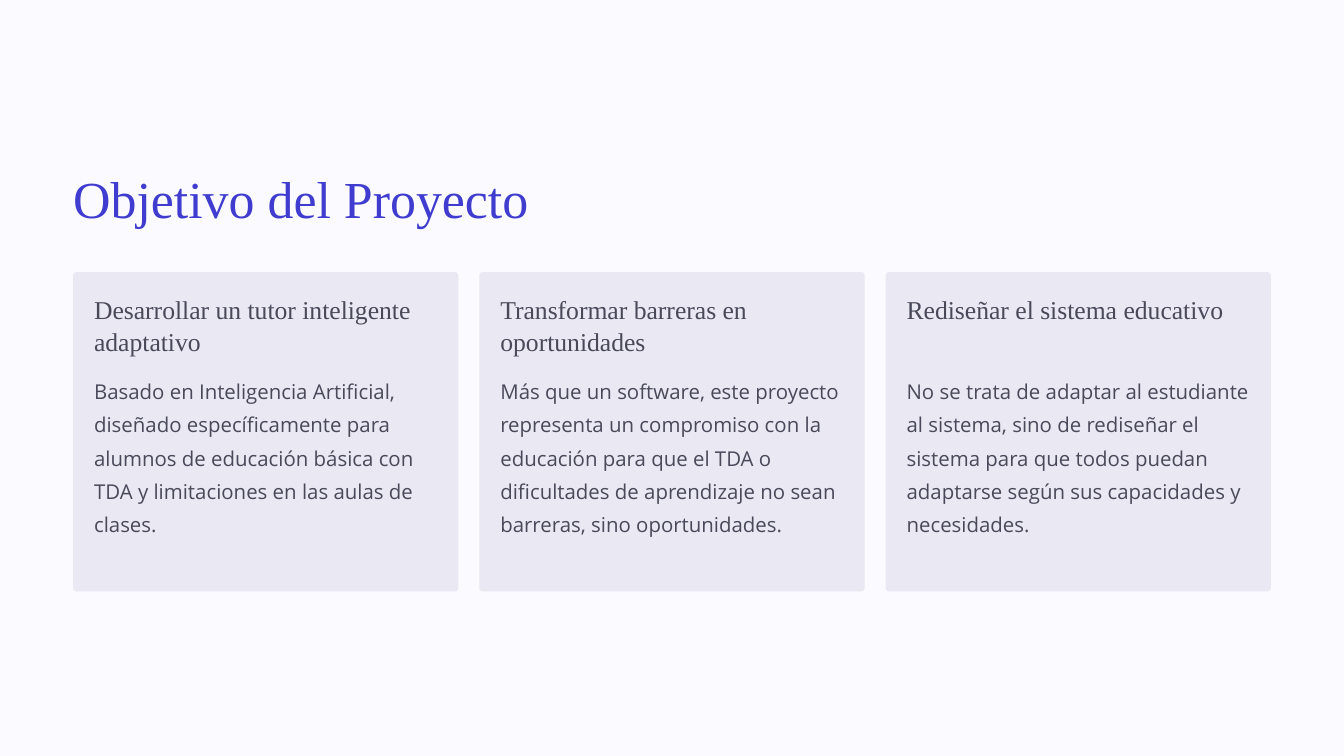
from dataclasses import dataclass

from pptx import Presentation
from pptx.dml.color import RGBColor
from pptx.enum.shapes import MSO_SHAPE
from pptx.enum.text import MSO_ANCHOR, MSO_AUTO_SIZE, PP_ALIGN
from pptx.util import Inches, Pt


@dataclass(frozen=True)
class TextStyle:
    font: str
    size: float
    leading: float
    color: str


class Theme:
    background = "FBFAFF"
    card = "EAE8F3"
    title = TextStyle("Times New Roman", 44.5, 55.5, "403CCF")
    heading = TextStyle("Times New Roman", 22, 27.5, "49495A")
    body = TextStyle("Open Sans", 17.5, 28.5, "49495A")


# Grid, in inches
WIDTH, HEIGHT = 16, 9
MARGIN, GAP, COLUMNS = 0.87, 0.25, 3
COLUMN = (WIDTH - 2 * MARGIN - (COLUMNS - 1) * GAP) / COLUMNS
TITLE_TOP, CARD_TOP, CARD_HEIGHT = 1.96, 3.24, 3.8
HEADING_TOP, BODY_TOP = 3.48, 4.41

# Heading, body and number of body lines reserved
CARDS = [
    ("Desarrollar un tutor inteligente adaptativo",
     "Basado en Inteligencia Artificial, diseñado específicamente para alumnos "
     "de educación básica con TDA y limitaciones en las aulas de clases.", 5),
    ("Transformar barreras en oportunidades",
     "Más que un software, este proyecto representa un compromiso con la "
     "educación para que el TDA o dificultades de aprendizaje no sean "
     "barreras, sino oportunidades.", 6),
    ("Rediseñar el sistema educativo",
     "No se trata de adaptar al estudiante al sistema, sino de rediseñar el "
     "sistema para que todos puedan adaptarse según sus capacidades y "
     "necesidades.", 5),
]


class SlideBuilder:
    def __init__(self, prs, theme):
        self.theme = theme
        self.slide = prs.slides.add_slide(prs.slide_layouts[5])
        self.paint(self.slide.background.fill, theme.background)

    def paint(self, fill, color):
        fill.solid()
        fill.fore_color.rgb = RGBColor.from_string(color)

    def set_text(self, sp, text, style, wrap=True):
        tf = sp.text_frame
        tf.text = text
        tf.word_wrap = wrap
        tf.auto_size = MSO_AUTO_SIZE.NONE
        tf.vertical_anchor = MSO_ANCHOR.TOP
        tf.margin_left = tf.margin_right = tf.margin_top = tf.margin_bottom = 0
        p = tf.paragraphs[0]
        p.alignment = PP_ALIGN.LEFT
        p.line_spacing = Pt(style.leading)
        font = p.runs[0].font
        font.name, font.size = style.font, Pt(style.size)
        font.color.rgb = RGBColor.from_string(style.color)

    def title(self, text):
        sp = self.slide.shapes.title
        sp.left, sp.top = Inches(MARGIN), Inches(TITLE_TOP)
        sp.width, sp.height = Inches(6.9), Inches(0.78)
        self.set_text(sp, text, self.theme.title, wrap=False)

    def text(self, x, y, w, lines, text, style):
        height = Pt(lines * style.leading)
        sp = self.slide.shapes.add_textbox(Inches(x), Inches(y), Inches(w), height)
        self.set_text(sp, text, style)

    def card(self, column, heading, body, lines):
        x = MARGIN + column * (COLUMN + GAP)
        sp = self.slide.shapes.add_shape(
            MSO_SHAPE.ROUNDED_RECTANGLE,
            Inches(x), Inches(CARD_TOP), Inches(COLUMN), Inches(CARD_HEIGHT))
        sp.adjustments[0] = 0.01
        sp.shadow.inherit = False
        sp.line.fill.background()
        self.paint(sp.fill, self.theme.card)
        left, width = x + GAP, COLUMN - 2 * GAP
        self.text(left, HEADING_TOP, width, 2, heading, self.theme.heading)
        self.text(left, BODY_TOP, width, lines, body, self.theme.body)


def main():
    prs = Presentation()
    prs.slide_width, prs.slide_height = Inches(WIDTH), Inches(HEIGHT)
    s = SlideBuilder(prs, Theme)

    # Title
    s.title("Objetivo del Proyecto")

    # Goal cards
    for column, card in enumerate(CARDS):
        s.card(column, *card)

    prs.save("out.pptx")


if __name__ == "__main__":
    main()
